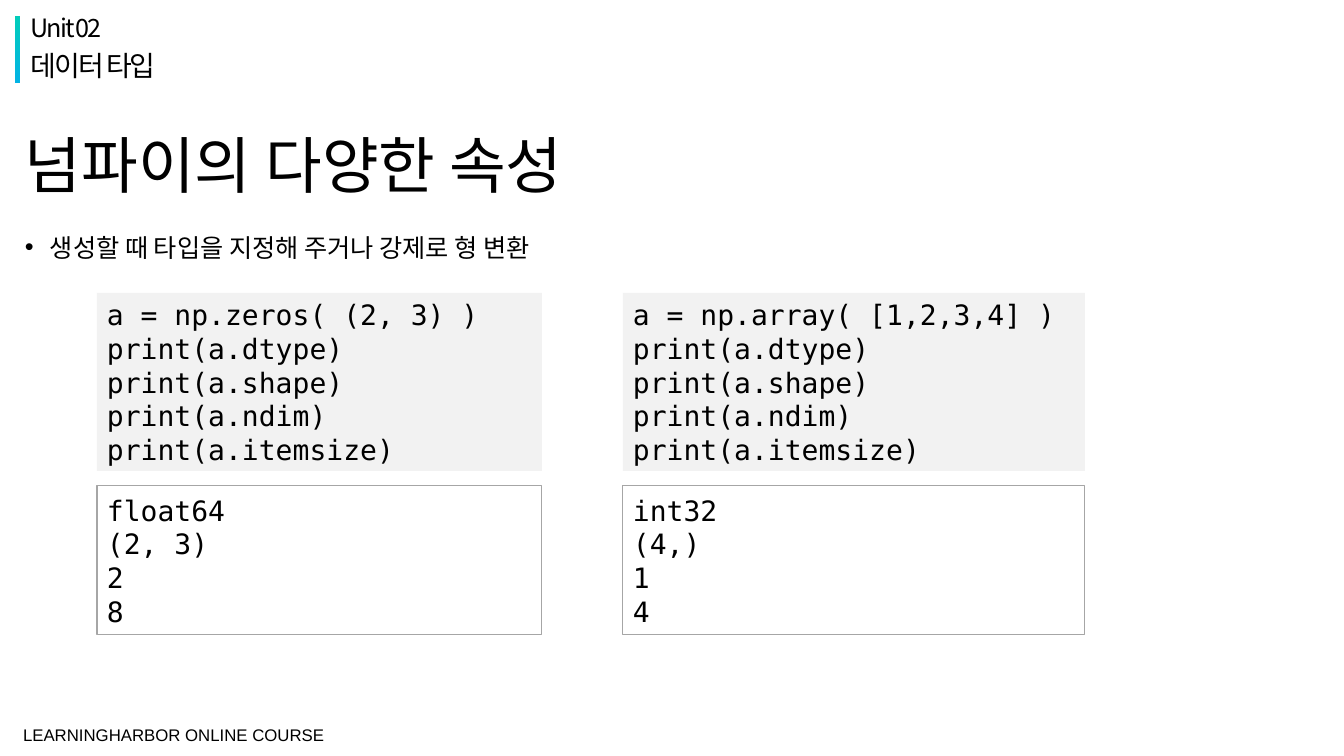
from lxml import etree
from pptx import Presentation
from pptx.dml.color import RGBColor
from pptx.enum.shapes import MSO_SHAPE
from pptx.enum.text import MSO_ANCHOR, PP_ALIGN
from pptx.oxml.ns import qn
from pptx.util import Emu, Pt

RECTANGLE = MSO_SHAPE.RECTANGLE
TOP, MIDDLE = MSO_ANCHOR.TOP, MSO_ANCHOR.MIDDLE
LEFT = PP_ALIGN.LEFT

EMU_PER_PX = 914400 / 100.8
COLORS = {
    "text": "000000",
    "code": "F2F2F2",
    "border": "A6A6A6",
    "accent_top": "02CCBA",
    "accent_bottom": "02B3E4",
}
KOREAN, MONO, LATIN = "Noto Sans CJK KR", "DejaVu Sans Mono", "Arial"

HEADING = {"line_spacing": 0.9, "space_before": Pt(10)}
BULLET = {"space_before": Pt(10)}
EXAMPLES = [
    (
        (97, 293, 445, 342),
        ["a = np.zeros( (2, 3) )", "print(a.dtype)", "print(a.shape)",
         "print(a.ndim)", "print(a.itemsize)"],
        ["float64", "(2, 3)", "2", "8"],
    ),
    (
        (623, 293, 462, 342),
        ["a = np.array( [1,2,3,4] )", "print(a.dtype)", "print(a.shape)",
         "print(a.ndim)", "print(a.itemsize)"],
        ["int32", "(4,)", "1", "4"],
    ),
]


def px(length):
    return Emu(round(length * EMU_PER_PX))


def color(key):
    return RGBColor.from_string(COLORS[key])


def apply_format(target, values):
    for attribute, value in values.items():
        setattr(target, attribute, value)


def write_lines(frame, lines, size, font, anchor=TOP, spacing=None, tracking=None):
    apply_format(frame, {"word_wrap": True, "vertical_anchor": anchor})
    for index, line in enumerate(lines):
        paragraph = frame.paragraphs[0] if index == 0 else frame.add_paragraph()
        apply_format(paragraph, {"alignment": LEFT, **(spacing or {})})
        run = paragraph.add_run()
        run.text = line
        apply_format(run.font, {"size": Pt(size), "name": font})
        run.font.color.rgb = color("text")
        properties = run.font._element
        etree.SubElement(properties, qn("a:ea")).set("typeface", font)
        if tracking is not None:
            properties.set("spc", str(tracking))


def add_text(slide, box, text, size, font, **options):
    frame = slide.shapes.add_textbox(*map(px, box)).text_frame
    write_lines(frame, [text], size, font, **options)
    return frame


def add_panel(slide, box, fill=None, border=None):
    panel = slide.shapes.add_shape(RECTANGLE, *map(px, box))
    panel.shadow.inherit = False
    if fill:
        panel.fill.solid()
        panel.fill.fore_color.rgb = color(fill)
    else:
        panel.fill.background()
    if border:
        panel.line.color.rgb = color(border)
        panel.line.width = Pt(0.75)
    else:
        panel.line.fill.background()
    return panel


def add_unit_header(slide, box):
    left, top, width, height = box
    accent = add_panel(slide, (left, top, 5, height))
    accent.fill.gradient()
    accent.fill.gradient_angle = 270
    stops = accent.fill.gradient_stops
    for stop, key, position in zip(stops, ("accent_top", "accent_bottom"), (0, 1)):
        stop.color.rgb = color(key)
        stop.position = position
    for offset, text, size in ((-5, "Unit 02", 18), (31, "데이터 타입", 20)):
        add_text(slide, (left + 6, top + offset, width - 6, 34), text, size, KOREAN,
                 spacing=HEADING, tracking=-150)


def add_topic(slide, box):
    left, top, width, height = box
    add_text(slide, (left, top, width, 86), "넘파이의 다양한 속성", 44, KOREAN,
             anchor=MIDDLE, spacing={"line_spacing": 0.9})
    frame = add_text(slide, (left, top + 101, width, height - 101),
                     "생성할 때 타입을 지정해 주거나 강제로 형 변환", 18, KOREAN,
                     spacing=BULLET)
    properties = frame.paragraphs[0]._p.get_or_add_pPr()
    indent = px(25)
    properties.set("marL", str(indent))
    properties.set("indent", str(-indent))
    etree.SubElement(properties, qn("a:buFont")).set("typeface", LATIN)
    etree.SubElement(properties, qn("a:buChar")).set("char", "•")


def add_example(slide, box, code, output):
    left, top, width, height = box
    code_height, gap = 178, 15
    output_top = code_height + gap
    code_panel = add_panel(slide, (left, top, width, code_height), fill="code")
    output_panel = add_panel(
        slide, (left, top + output_top, width, height - output_top), border="border")
    for panel, lines in ((code_panel, code), (output_panel, output)):
        write_lines(panel.text_frame, lines, 20, MONO, anchor=MIDDLE)


def add_footer(slide, box):
    frame = add_text(slide, box, "LEARNINGHARBOR ONLINE COURSE", 12, LATIN, anchor=MIDDLE)
    margins = ("margin_left", "margin_top", "margin_right", "margin_bottom")
    apply_format(frame, dict.fromkeys(margins, px(8)))


def main():
    deck = Presentation()
    apply_format(deck, {"slide_width": px(1344), "slide_height": px(756)})
    slide = deck.slides.add_slide(deck.slide_layouts[6])
    add_unit_header(slide, (15, 16, 817, 67))
    add_footer(slide, (15, 717, 400, 36))
    add_topic(slide, (15, 126, 1159, 223))
    for box, code, output in EXAMPLES:
        add_example(slide, box, code, output)
    deck.save("out.pptx")


if __name__ == "__main__":
    main()
